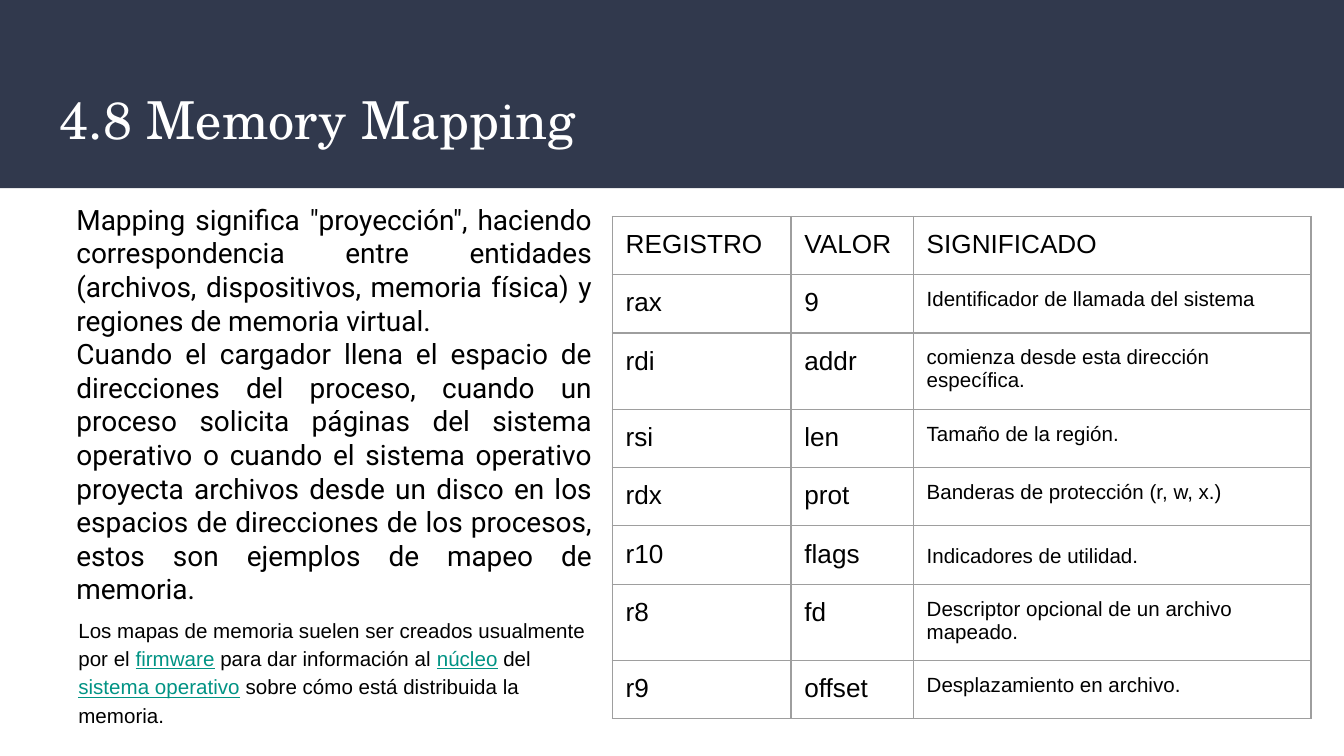
from lxml import etree
from pptx import Presentation
from pptx.dml.color import RGBColor
from pptx.enum.shapes import MSO_SHAPE
from pptx.enum.text import MSO_ANCHOR, PP_ALIGN
from pptx.oxml.ns import qn
from pptx.util import Inches, Pt

RECT = MSO_SHAPE.RECTANGLE
MIDDLE, TOP = MSO_ANCHOR.MIDDLE, MSO_ANCHOR.TOP
LEFT, JUSTIFY = PP_ALIGN.LEFT, PP_ALIGN.JUSTIFY

COLORS = {"band": "31394D", "title": "FFFFFF", "text": "000000",
          "link": "009384", "grid": "9E9E9E"}
SERIF, SANS, BODY = "TeX Gyre Schola", "Arial", "Roboto"
COLS, ROWS = 100, 56.25
INSET = Inches(0.1)

INTRO = [
    'Mapping significa "proyección", haciendo correspondencia entre entidades '
    "(archivos, dispositivos, memoria física) y regiones de memoria virtual. ",
    "Cuando el cargador llena el espacio de direcciones del proceso, cuando un "
    "proceso solicita páginas del sistema operativo o cuando el sistema "
    "operativo proyecta archivos desde un disco en los espacios de direcciones "
    "de los procesos, estos son ejemplos de mapeo de memoria.",
]
# Odd parts are shown as links.
NOTE = ["Los mapas de memoria suelen ser creados usualmente por el ", "firmware",
        " para dar información al ", "núcleo", " del ", "sistema operativo",
        " sobre cómo está distribuida la memoria."]
CALLS = [
    ("REGISTRO", "VALOR", "SIGNIFICADO"),
    ("rax", "9", "Identificador de llamada del sistema"),
    ("rdi", "addr", "comienza desde esta dirección específica."),
    ("rsi", "len", "Tamaño de la región."),
    ("rdx", "prot", "Banderas de protección (r, w, x.)"),
    ("r10", "flags", "Indicadores de utilidad."),
    ("r8", "fd", "Descriptor opcional de un archivo mapeado."),
    ("r9", "offset", "Desplazamiento en archivo."),
]
WIDTHS = [13.3, 9.1, 29.6]
HEIGHTS = [3.2] + [4.2] * (len(CALLS) - 1)


class Deck:
    def __init__(self):
        self.prs = Presentation()
        self.prs.slide_width = Inches(10)
        self.prs.slide_height = Inches(10 * 9 / 16)
        self.slide = self.prs.slides.add_slide(self.prs.slide_layouts[6])

    def across(self, n):
        return round(self.prs.slide_width * n / COLS)

    def down(self, n):
        return round(self.prs.slide_height * n / ROWS)

    def place(self, x, y, w, h):
        return self.across(x), self.down(y), self.across(w), self.down(h)

    def color(self, name):
        return RGBColor.from_string(COLORS[name])

    def style(self, para, face, size, color="text"):
        para.font.name, para.font.size = face, Pt(size)
        para.font.color.rgb = self.color(color)

    def band(self, *area):
        shape = self.slide.shapes.add_shape(RECT, *self.place(*area))
        shape.shadow.inherit = False
        shape.fill.solid()
        shape.fill.fore_color.rgb = self.color("band")
        shape.line.fill.background()

    def text(self, area, paras, face, size, color="text", align=LEFT,
             anchor=TOP, spacing=None):
        """Each paragraph is a list of parts, the odd ones shown as links."""
        frame = self.slide.shapes.add_textbox(*self.place(*area)).text_frame
        frame.word_wrap = True
        frame.vertical_anchor = anchor
        frame.margin_left = frame.margin_right = INSET
        frame.margin_top = frame.margin_bottom = INSET
        for i, parts in enumerate(paras):
            para = frame.add_paragraph() if i else frame.paragraphs[0]
            para.alignment = align
            para.line_spacing = spacing
            self.style(para, face, size, color)
            for k, part in enumerate(parts):
                run = para.add_run()
                run.text = part
                if k % 2:
                    run.font.underline = True
                    run.font.color.rgb = self.color("link")

    def border(self, cell):
        props = cell._tc.get_or_add_tcPr()
        for side in ("lnL", "lnR", "lnT", "lnB"):
            line = etree.SubElement(props, qn("a:" + side), w=str(Pt(0.75)))
            fill = etree.SubElement(line, qn("a:solidFill"))
            etree.SubElement(fill, qn("a:srgbClr"), val=COLORS["grid"])

    def table(self, x, y, rows, widths, heights):
        area = self.place(x, y, sum(widths), sum(heights))
        table = self.slide.shapes.add_table(len(rows), len(widths), *area).table
        table.first_row = table.horz_banding = False
        for col, width in zip(table.columns, widths):
            col.width = self.across(width)
        for r, (row, height) in enumerate(zip(rows, heights)):
            table.rows[r].height = self.down(height)
            for c, words in enumerate(row):
                cell = table.cell(r, c)
                cell.margin_left = cell.margin_right = INSET
                cell.margin_top = cell.margin_bottom = INSET
                self.border(cell)
                cell.fill.background()
                para = cell.text_frame.paragraphs[0]
                self.style(para, SANS, 11 if r and c == 2 else 14)
                para.add_run().text = words
        return table


def main():
    deck = Deck()
    deck.band(0, 0, COLS, 14)
    deck.text((3.45, 5.45, 93.2, 6.8), [["4.8 Memory Mapping"]], SERIF, 28,
              "title", anchor=MIDDLE)
    deck.text((4.7, 14.05, 40.35, 35.4), [[words] for words in INTRO], BODY, 15,
              align=JUSTIFY)
    deck.text((4.85, 44.7, 40, 6.8), [NOTE], SANS, 11, spacing=1.15)
    table = deck.table(45.55, 16.1, CALLS, WIDTHS, HEIGHTS)
    # A larger closing space lowers the baseline of this one cell.
    space = table.cell(5, 2).text_frame.paragraphs[0].add_run()
    space.text = " "
    space.font.size = Pt(14)
    deck.prs.save("out.pptx")


if __name__ == "__main__":
    main()
